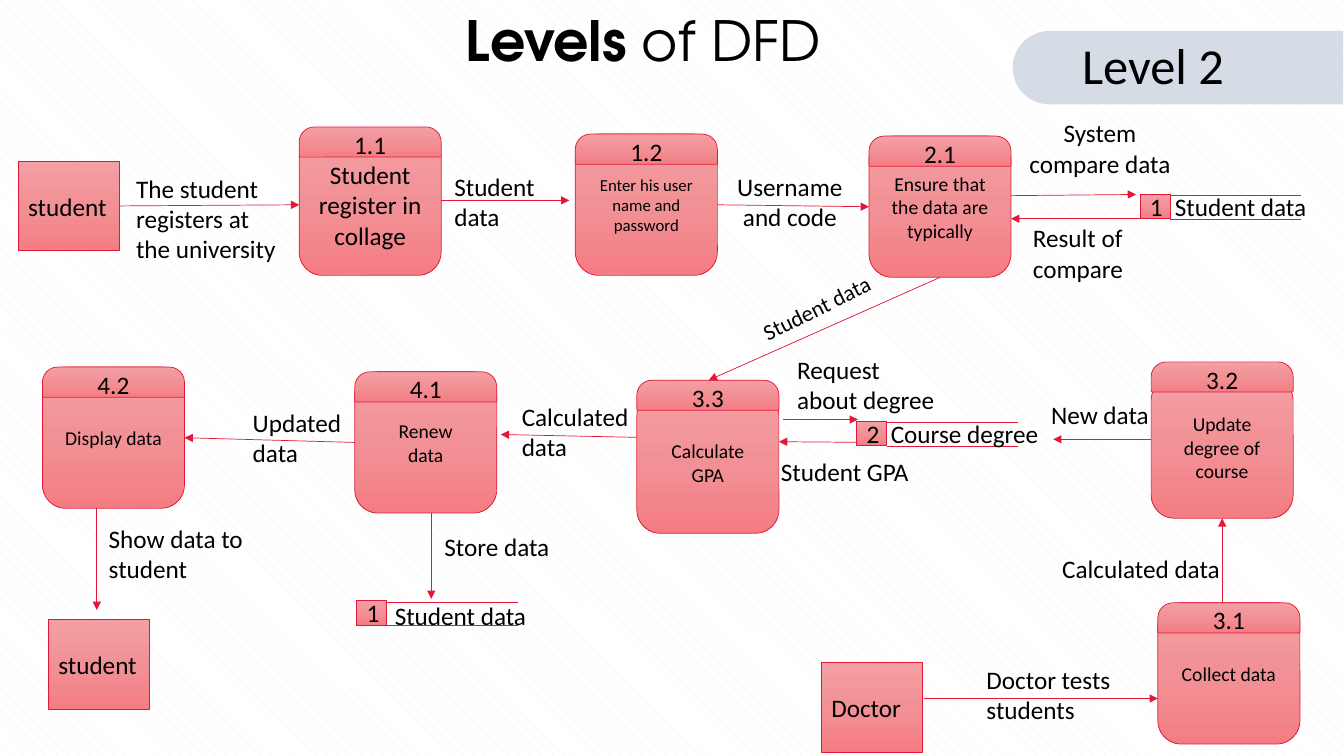
from copy import deepcopy

from pptx import Presentation
from pptx.dml.color import RGBColor
from pptx.enum.dml import MSO_PATTERN
from pptx.enum.shapes import MSO_CONNECTOR, MSO_SHAPE
from pptx.enum.text import MSO_ANCHOR, MSO_AUTO_SIZE, PP_ALIGN
from pptx.oxml.ns import qn
from pptx.util import Cm, Pt

RECT, ROUND, CAP = MSO_SHAPE.RECTANGLE, MSO_SHAPE.ROUNDED_RECTANGLE, MSO_SHAPE.ROUND_2_SAME_RECTANGLE
LEFT, CENTER = PP_ALIGN.LEFT, PP_ALIGN.CENTER
SHINGLE = MSO_PATTERN.SHINGLE
STRAIGHT = MSO_CONNECTOR.STRAIGHT
MIDDLE, GROW = MSO_ANCHOR.MIDDLE, MSO_AUTO_SIZE.SHAPE_TO_FIT_TEXT
LEFT_SIDE, BOTTOM_SIDE, RIGHT_SIDE = 1, 2, 3

COLORS = {"red": "E31737", "light": "F49FA4", "mid": "F19196", "dark": "F47D83",
          "text": "000000", "tab": "D6DCE5", "weave": "F2F2F2", "paper": "FFFFFF"}
FONT, TITLE_FONT = "Calibri", "TeX Gyre Adventor"
BOX_W, BOX_H, CAP_H = 3.58, 3.56, 0.76
KEY_W, KEY_H, STORE_W = 0.76, 0.61, 3.3

# number: x, y, text, size, rise of the cap above the body
PROCESSES = {
    "1.2": (14.5, 3.38, "Enter his user name and password", 12, 0),
    "4.2": (1.07, 9.25, "Display data", 14, 0),
    "4.1": (8.94, 9.37, "Renew\ndata", 14, 0),
    "1.1": (7.54, 3.38, "Student register in collage", 18, 0.18),
    "2.1": (21.9, 3.43, "Ensure that the data are typically", 14, 0),
    "3.2": (29.01, 9.5, "Update degree of course", 14, 0.38),
    "3.1": (29.18, 15.19, "Collect data", 14, 0),
    "3.3": (16.05, 9.88, "Calculate GPA", 14, 0.3),
}
# key, text, x, y, label offset, label width
STORES = [
    ("1", "Student data", 28.73, 4.9, 0.63, -0.2, 3.89),
    ("2", "Course degree", 21.59, 10.62, 0.61, -0.2, 5.31),
    ("1", "Student data", 8.99, 15.14, 0.71, -0.13, 4.5),
]
# text, x, y, width, lines, alignment
LABELS = [
    ("Student data", 11.2, 4.19, 2.79, 2, LEFT),
    ("The student registers at the university", 3.18, 4.24, 4.14, 3, LEFT),
    ("Username and code", 18.24, 4.19, 3.33, 2, CENTER),
    ("System compare data", 25.6, 2.84, 4.24, 2, CENTER),
    ("Result of compare", 25.78, 5.49, 3.94, 2, LEFT),
    ("Doctor tests students", 24.61, 16.61, 4.65, 2, LEFT),
    ("Calculated data", 26.52, 13.82, 5.33, 1, LEFT),
    ("New data", 26.24, 9.93, 5.92, 1, LEFT),
    ("Student GPA", 19.43, 11.38, 3.99, 1, LEFT),
    ("Request about degree", 19.84, 8.81, 4.24, 2, LEFT),
    ("Updated data", 6.12, 10.13, 3.38, 2, LEFT),
    ("Calculated data", 12.9, 9.98, 4.01, 2, LEFT),
    ("Store data", 10.95, 13.26, 5.13, 1, LEFT),
    ("Show data to student", 2.49, 13.06, 5.33, 2, LEFT),
]
FLOWS_BEHIND = [(29.18, 11.07, 26.54, 11.07), (10.11, 5.05, 14.35, 5.05),
                (10.87, 11.33, 10.87, 15.09), (2.44, 11.61, 2.44, 15.37),
                (22.17, 11.15, 19.63, 11.13)]
FLOWS_IN_FRONT = [(23.29, 17.6, 29.18, 17.6), (16.05, 11.02, 12.62, 10.95),
                  (25.48, 4.93, 28.63, 4.9), (29.11, 5.51, 25.48, 5.51),
                  (19.74, 10.57, 21.62, 10.57)]


def rgb(name):
    return RGBColor.from_string(COLORS[name])


def add_run(p, text, size, font=FONT, bold=False):
    r = p.add_run()
    r.text = text
    r.font.size, r.font.name, r.font.bold = Pt(size), font, bold
    r.font.color.rgb = rgb("text")


def write(tf, text, size=18, align=LEFT):
    tf.word_wrap = True
    for i, line in enumerate(text.split("\n")):
        p = tf.add_paragraph() if i else tf.paragraphs[0]
        p.alignment = align
        add_run(p, line, size)


def label(s, text, x, y, w, lines=1, align=LEFT, size=18, rotation=0):
    sp = s.shapes.add_textbox(Cm(x), Cm(y), Cm(w), Cm(0.25 + 0.77 * lines))
    sp.rotation = rotation
    write(sp.text_frame, text, size, align)
    sp.text_frame.auto_size = GROW


def red_box(s, kind, x, y, w, h, text, size=18, align=CENTER):
    """Add an outlined box with the red three-stop gradient."""
    sp = s.shapes.add_shape(kind, Cm(x), Cm(y), Cm(w), Cm(h))
    sp.shadow.inherit = False
    sp.fill.gradient()
    sp.fill.gradient_angle = 270
    stops = sp._element.spPr.find(".//" + qn("a:gsLst"))
    middle = deepcopy(stops[0])
    middle.set("pos", "50000")
    stops.insert(1, middle)
    for stop, name in zip(sp.fill.gradient_stops, ("light", "mid", "dark")):
        stop.color.rgb = rgb(name)
    sp.line.color.rgb = rgb("red")
    sp.line.width = Pt(0.5)
    sp.text_frame.vertical_anchor = MIDDLE
    write(sp.text_frame, text, size, align)
    return sp


def line(s, x1, y1, x2, y2, arrow=False):
    c = s.shapes.add_connector(STRAIGHT, Cm(x1), Cm(y1), Cm(x2), Cm(y2))
    c.line.color.rgb = rgb("red")
    c.line.width = Pt(0.5)
    if arrow:
        tail = c.line._get_or_add_ln().makeelement(qn("a:tailEnd"), {"type": "triangle"})
        c.line._get_or_add_ln().append(tail)
    spPr = c._element.spPr
    spPr.append(spPr.makeelement(qn("a:effectLst"), {}))
    return c


def join(s, start, start_side, end, end_side):
    c = line(s, 0, 0, 1, 1, arrow=True)
    c.begin_connect(start, start_side)
    c.end_connect(end, end_side)


def entity(s, text, x, y):
    return red_box(s, RECT, x, y, 2.54, 2.26, text, align=LEFT)


def process(s, number, x, y, text, size, rise):
    body = red_box(s, ROUND, x, y, BOX_W, BOX_H, text, size)
    cap = red_box(s, CAP, x, y - rise, BOX_W, CAP_H, number)
    cap.adjustments[0], cap.adjustments[1] = 0.5, 0.04
    return body


def store(s, key, text, x, y, dx, dy, label_w):
    for line_y in (y + 0.03, y + 0.63):
        line(s, x + KEY_W, line_y, x + KEY_W + STORE_W, line_y)
    red_box(s, RECT, x, y, KEY_W, KEY_H, key, align=LEFT)
    label(s, text, x + dx, y + dy, label_w)


def title(s, x, y, w, h):
    sp = s.shapes.title
    sp.left, sp.top, sp.width, sp.height = Cm(x), Cm(y), Cm(w), Cm(h)
    tf = sp.text_frame
    tf.vertical_anchor = MIDDLE
    tf.auto_size = MSO_AUTO_SIZE.NONE
    p = tf.paragraphs[0]
    p.alignment, p.line_spacing = CENTER, 0.9
    add_run(p, "Levels", 39.6, TITLE_FONT, bold=True)
    add_run(p, " of DFD", 39.6, TITLE_FONT)


def level_tab(s, x, y, w, h):
    """Add the tab at the right edge; its shape is turned a quarter left."""
    sp = s.shapes.add_shape(CAP, Cm(x + (w - h) / 2), Cm(y + (h - w) / 2), Cm(h), Cm(w))
    sp.rotation = 270
    sp.adjustments[0], sp.adjustments[1] = 0.5, 0
    sp.shadow.inherit = False
    sp.fill.solid()
    sp.fill.fore_color.rgb = rgb("tab")
    sp.line.fill.background()
    label(s, "Level 2", x + 1.5, y - 0.04, 5.31, 2, size=36)


def diagram(s):
    for flow in FLOWS_BEHIND:
        line(s, *flow, arrow=True)
    student = entity(s, "student", 0.46, 4.06)
    entity(s, "Doctor", 20.7, 16.69)
    entity(s, "student", 1.22, 15.62)
    boxes = {number: process(s, number, *data) for number, data in PROCESSES.items()}
    for data in STORES:
        store(s, *data)
    for flow in FLOWS_IN_FRONT:
        line(s, *flow, arrow=True)
    join(s, student, RIGHT_SIDE, boxes["1.1"], LEFT_SIDE)
    join(s, boxes["1.2"], RIGHT_SIDE, boxes["2.1"], LEFT_SIDE)
    join(s, boxes["4.1"], LEFT_SIDE, boxes["4.2"], RIGHT_SIDE)
    line(s, 23.69, 6.99, 17.86, 9.58, arrow=True).begin_connect(boxes["2.1"], BOTTOM_SIDE)
    line(s, 30.8, 15.19, 30.8, 13.06, arrow=True).end_connect(boxes["3.2"], BOTTOM_SIDE)
    for data in LABELS:
        label(s, *data)
    label(s, "Student data", 18.87, 7.26, 3.53, size=16, rotation=333.5)


def main():
    prs = Presentation()
    prs.slide_width, prs.slide_height = Cm(33.87), Cm(19.05)
    s = prs.slides.add_slide(prs.slide_layouts[5])
    fill = s.background.fill
    fill.patterned()
    fill.pattern = SHINGLE
    fill.fore_color.rgb, fill.back_color.rgb = rgb("weave"), rgb("paper")
    diagram(s)
    title(s, 1.6, 0.18, 29.21, 1.85)
    level_tab(s, 25.52, 0.78, 8.33, 1.85)
    prs.save("out.pptx")


if __name__ == "__main__":
    main()
